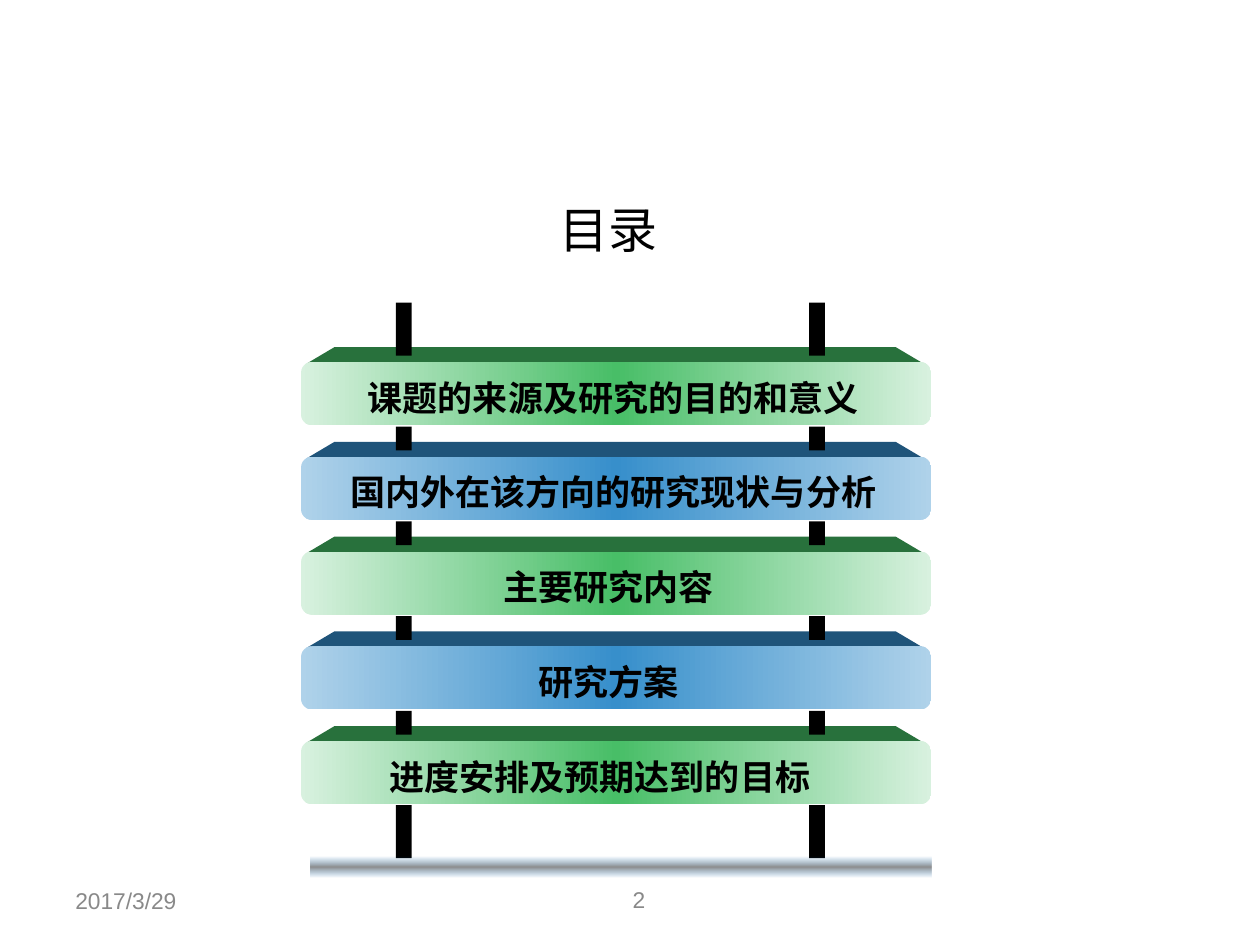
from copy import deepcopy

from lxml import etree
from pptx import Presentation
from pptx.dml.color import RGBColor
from pptx.enum import shapes, text
from pptx.oxml.ns import qn
from pptx.util import Cm, Pt

HUES = {"black": "000000", "grey": "898989", "base": "0061B2", "shade": "3B3B3B"}
GREEN = {"edge": "D8F1DF", "mid": "48BE67", "top": "28713C"}
BLUE = {"edge": "AFD2EA", "mid": "378FCB", "top": "1F547A"}


def write(box, words, size, hue="black", bold=False, align="CENTER", anchor="TOP"):
    frame = box.text_frame
    frame.word_wrap = True
    frame.auto_size = text.MSO_AUTO_SIZE.NONE
    frame.vertical_anchor = getattr(text.MSO_ANCHOR, anchor)
    para = frame.paragraphs[0]
    para.alignment = getattr(text.PP_ALIGN, align)
    run = para.add_run()
    run.text = words
    run.font.name = "Arial"
    run.font.size = Pt(size)
    run.font.bold = bold
    run.font.color.rgb = RGBColor.from_string(HUES[hue])


def blend(shape, edge, mid, angle=0, alphas=None):
    """Fill with a gradient that runs edge, mid, edge; alphas are percentages."""
    shape.shadow.inherit = False
    shape.line.fill.background()
    shape.fill.gradient()
    shape.fill.gradient_angle = angle
    stops = shape.fill.gradient_stops
    for stop, hue, pos in zip(stops, (edge, mid), (0, 0.5)):
        stop.color.rgb = RGBColor.from_string(hue)
        stop.position = pos
    nodes = shape.element.spPr.findall(".//" + qn("a:gs"))
    for node, alpha in zip(nodes, alphas or ()):
        etree.SubElement(node[0], qn("a:alpha"), val=str(alpha * 1000))
    last = deepcopy(nodes[0])
    last.set("pos", "100000")
    nodes[1].addnext(last)


deck = Presentation()
deck.slide_width, deck.slide_height = Cm(25.4), Cm(19.05)
slide = deck.slides.add_slide(deck.slide_layouts[5])
tree = slide.shapes

# Title, date and page number
title = tree.title
title.left, title.top, title.width, title.height = Cm(8.61), Cm(3.89), Cm(7.32), Cm(1.45)
write(title, "目录", 28)
for left, top, words, align in [(1.27, 17.65, "2017/3/29", "LEFT"),
                                (7.34, 17.62, "2", "RIGHT")]:
    box = tree.add_textbox(Cm(left), Cm(top), Cm(5.92), Cm(1.02))
    write(box, words, 13, hue="grey", align=align, anchor="MIDDLE")

# Signboards: sloping top, rounded front, label
step = 1.91
boards = [
    ("课题的来源及研究的目的和意义", 6.27, 12.19),
    ("国内外在该方向的研究现状与分析", 6.27, 12.19),
    ("主要研究内容", 8.61, 7.32),
    ("研究方案", 8.61, 7.32),
    ("进度安排及预期达到的目标", 6.76, 10.67),
]
for i, (words, left, width) in enumerate(boards):
    hues = (GREEN, BLUE)[i % 2]
    top = 7.3 + i * step

    pen = tree.build_freeform(Cm(6.2), Cm(top + 0.02))
    pen.add_line_segments([(Cm(6.74), Cm(top - 0.3)), (Cm(18.06), Cm(top - 0.3)),
                           (Cm(18.6), Cm(top + 0.02))])
    slope = pen.convert_to_shape()
    slope.shadow.inherit = False
    slope.line.fill.background()
    slope.fill.solid()
    slope.fill.fore_color.rgb = RGBColor.from_string(hues["top"])

    front = tree.add_shape(shapes.MSO_SHAPE.ROUNDED_RECTANGLE,
                           Cm(6.07), Cm(top), Cm(12.7), Cm(1.27))
    blend(front, hues["edge"], hues["mid"])

    label = tree.add_textbox(Cm(left), Cm(top + 0.16), Cm(width), Cm(1.12))
    write(label, words, 20, bold=True)

# Two posts, seen above, between and below the boards
parts = [(6.1, 1.07)] + [(8.6 + i * step, 0.48) for i in range(4)] + [(16.23, 1.07)]
for left in (7.98, 16.31):
    post = tree.add_group_shape()
    for top, height in parts:
        part = post.shapes.add_shape(shapes.MSO_SHAPE.RECTANGLE,
                                     Cm(left), Cm(top), Cm(0.32), Cm(height))
        part.shadow.inherit = False
        part.line.fill.background()
        part.fill.solid()
        part.fill.fore_color.rgb = RGBColor.from_string(HUES["black"])

# Soft ground line
ground = tree.add_shape(shapes.MSO_SHAPE.RECTANGLE,
                        Cm(6.27), Cm(17.27), Cm(12.5), Cm(0.43))
blend(ground, HUES["base"], HUES["shade"], angle=90, alphas=(0, 58))

deck.save("out.pptx")
